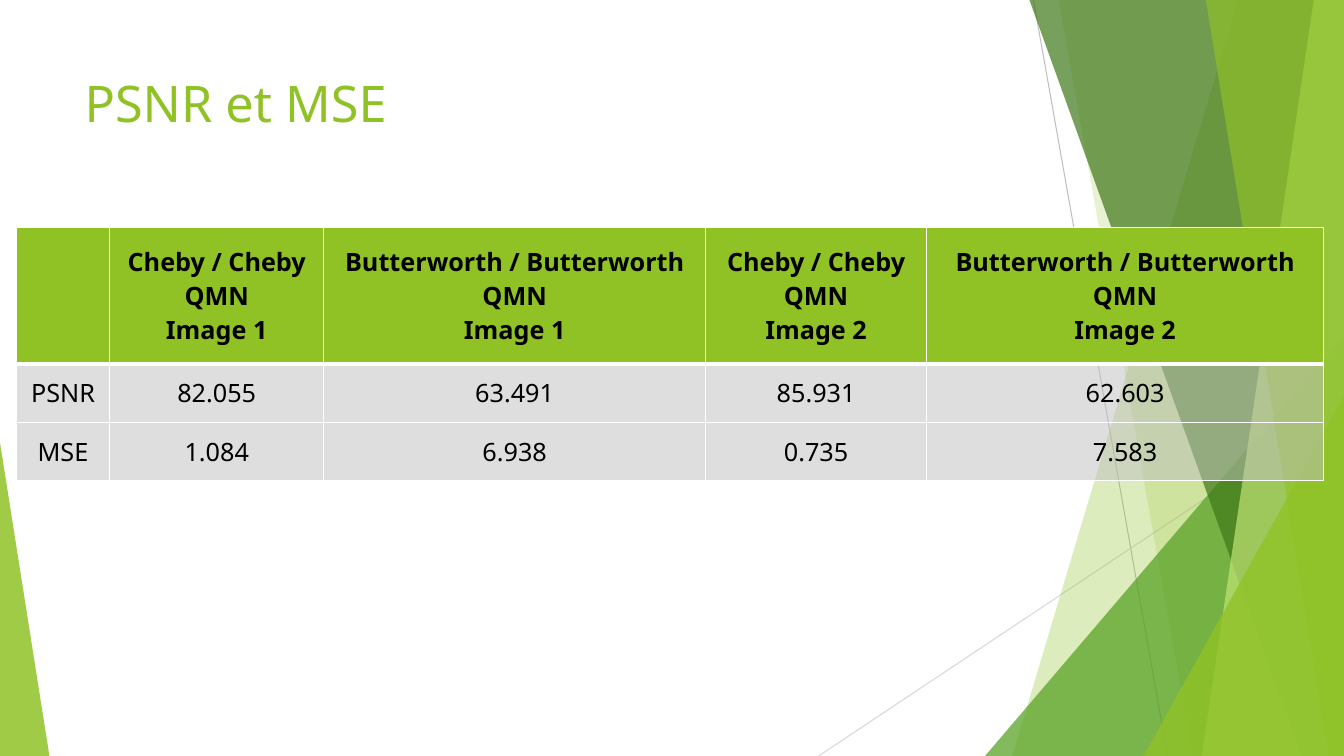
from lxml.etree import SubElement
from pptx import Presentation
from pptx.dml.color import RGBColor
from pptx.enum.shapes import MSO_CONNECTOR as Connector, MSO_SHAPE as Preset
from pptx.enum.text import MSO_ANCHOR as Anchor, PP_ALIGN as Align
from pptx.oxml import parse_xml
from pptx.oxml.ns import nsdecls, qn
from pptx.util import Inches, Pt

COLUMNS, ROWS = 13.33, 7.5  # grid of one-inch units
FONT = "Noto Sans"
COLORS = {
    "lime": "90C226", "green": "54A021", "forest": "3F7819", "pale": "C0E474",
    "silver": "BFBFBF", "mist": "D9D9D9", "white": "FFFFFF", "black": "000000",
}


def write(frame, text, size=18, color="black", bold=False, align=Align.LEFT):
    """Fill a text frame, one paragraph for each line of the text."""
    for index, line in enumerate(text.split("\n")):
        para = frame.add_paragraph() if index else frame.paragraphs[0]
        para.alignment = align
        span = para.add_run()
        span.text = line
        span.font.name, span.font.size, span.font.bold = FONT, Pt(size), bold
        span.font.color.rgb = RGBColor.from_string(COLORS[color])


class Page:
    def __init__(self, deck):
        self.deck = deck
        self.shapes = deck.slides.add_slide(deck.slide_layouts[6]).shapes

    def x(self, columns):
        return round(self.deck.slide_width * columns / COLUMNS)

    def y(self, rows):
        return round(self.deck.slide_height * rows / ROWS)

    def area(self, left, top, width, height):
        return self.x(left), self.y(top), self.x(width), self.y(height)

    def paint(self, fill, color, opacity=100):
        fill.solid()
        fill.fore_color.rgb = RGBColor.from_string(COLORS[color])
        if opacity < 100:
            tint = fill._xPr.find(qn("a:solidFill"))[0]
            SubElement(tint, qn("a:alpha"), val=str(opacity * 1000))

    def finish(self, shape, color, opacity):
        shape.shadow.inherit = False
        shape.line.fill.background()
        self.paint(shape.fill, color, opacity)

    def line(self, start, end, color):
        line = self.shapes.add_connector(
            Connector.STRAIGHT, self.x(start[0]), self.y(start[1]),
            self.x(end[0]), self.y(end[1]))
        line.line.width = Pt(0.75)
        line.line.color.rgb = RGBColor.from_string(COLORS[color])
        SubElement(line._element.spPr, qn("a:effectLst"))

    def panel(self, top_left, bottom_left, color, opacity):
        """Full-height band that reaches the right edge."""
        corners = [(COLUMNS, 0), (COLUMNS, ROWS), (bottom_left, ROWS)]
        builder = self.shapes.build_freeform(self.x(top_left), 0)
        builder.add_line_segments([(self.x(x), self.y(y)) for x, y in corners])
        self.finish(builder.convert_to_shape(), color, opacity)

    def triangle(self, left, top, width, color, opacity, apex=1):
        """Triangle that stands on the bottom edge."""
        shape = self.shapes.add_shape(
            Preset.ISOSCELES_TRIANGLE, *self.area(left, top, width, ROWS - top))
        shape.adjustments[0] = apex
        self.finish(shape, color, opacity)

    def text(self, area, text, **style):
        box = self.shapes.add_textbox(*self.area(*area))
        box.text_frame.word_wrap = True
        write(box.text_frame, text, **style)

    def borders(self, cell, **widths):
        props = cell._tc.get_or_add_tcPr()
        for index, side in enumerate("LRTB"):
            width = Pt(widths.get(side, 1))
            props.insert(index, parse_xml(
                f'<a:ln{side} {nsdecls("a")} w="{width}"><a:solidFill>'
                f'<a:srgbClr val="{COLORS["white"]}"/></a:solidFill></a:ln{side}>'))

    def table(self, left, top, widths, heights, values):
        table = self.shapes.add_table(
            len(heights), len(widths),
            *self.area(left, top, sum(widths), sum(heights))).table
        table.horz_banding = False
        for column, width in zip(table.columns, widths):
            column.width = self.x(width)
        for row, height in zip(table.rows, heights):
            row.height = self.y(height)
        for r, record in enumerate(values):
            header = r == 0
            for c, value in enumerate(record):
                cell = table.cell(r, c)
                cell.vertical_anchor = Anchor.MIDDLE
                write(cell.text_frame, value, bold=header, align=Align.CENTER)
                if header:
                    self.paint(cell.fill, "lime")
                else:
                    self.paint(cell.fill, "silver", 50)
                self.borders(cell, T=3 if r == 1 else 1, B=3 if header else 1)


deck = Presentation()
deck.slide_width, deck.slide_height = Inches(COLUMNS), Inches(ROWS)
page = Page(deck)

# Facet decoration, back to front
page.line((10.25, 0), (11.58, ROWS), "silver")
page.line((COLUMNS, 4.03), (8.12, ROWS), "mist")
page.panel(12.28, 10.04, "lime", 30)
page.panel(10.5, 11.83, "lime", 20)
page.triangle(9.77, 3.33, 3.56, "green", 72)
page.panel(10.21, 12.91, "forest", 70)
page.panel(13.03, 11.92, "pale", 70)
page.panel(11.96, 13.18, "lime", 65)
page.triangle(11.34, 3.93, 1.99, "lime", 80)
page.triangle(0, 4.39, 0.49, "lime", 85, apex=0)

# Title
page.text((0.74, 0.67, 9.4, 1.44), "PSNR et MSE", size=36, color="lime")

# Filter comparison
page.table(0.16, 2.26, [0.93, 2.12, 3.79, 2.19, 3.94], [1.35, 0.58, 0.58], [
    ["", "Cheby / Cheby\nQMN\nImage 1", "Butterworth / Butterworth\nQMN\nImage 1",
     "Cheby / Cheby QMN\nImage 2", "Butterworth / Butterworth\nQMN\nImage 2"],
    ["PSNR", "82.055", "63.491", "85.931", "62.603"],
    ["MSE", "1.084", "6.938", "0.735", "7.583"],
])

deck.save("out.pptx")
